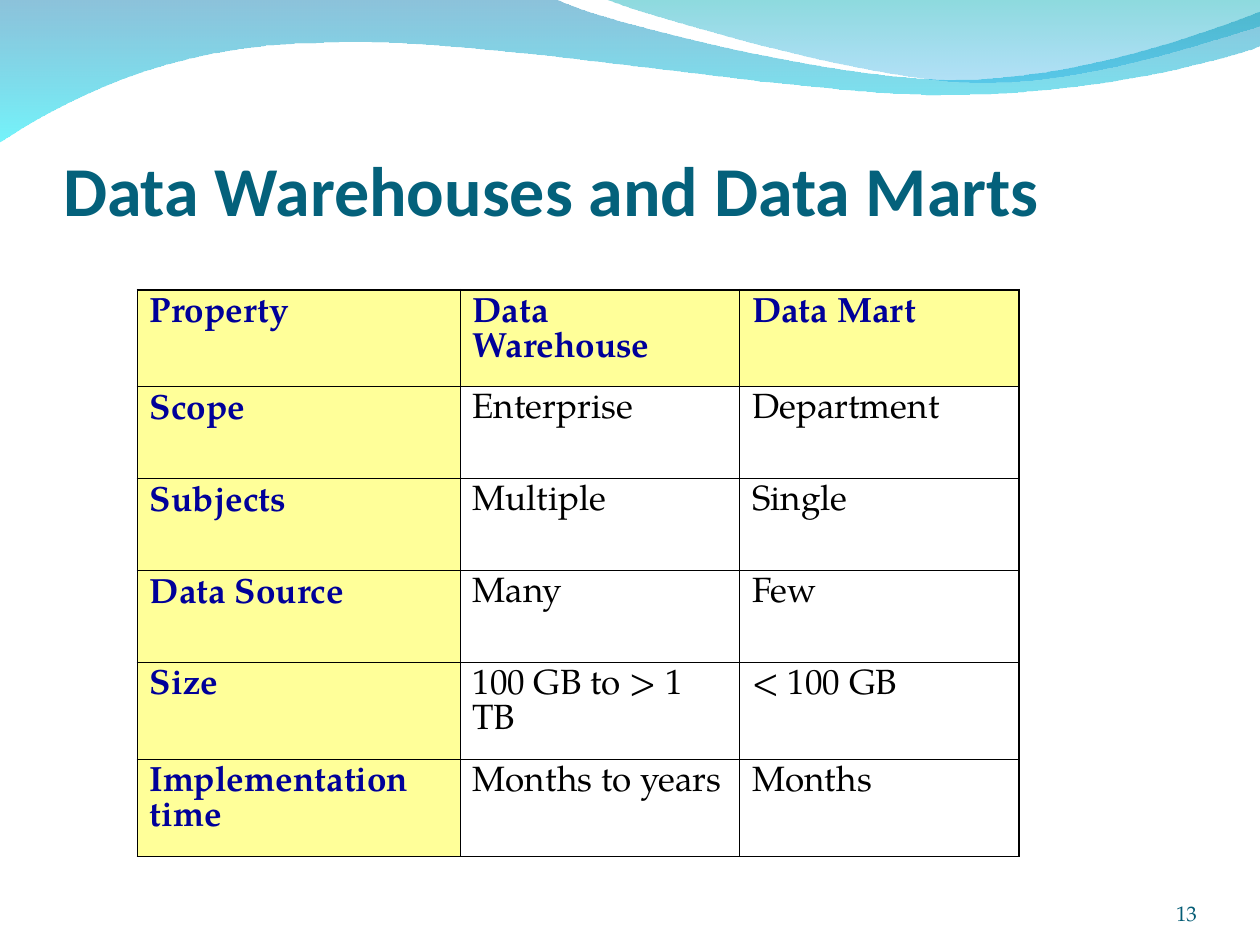
from pptx import Presentation
from pptx.dml.color import RGBColor
from pptx.enum.text import MSO_ANCHOR, PP_ALIGN
from pptx.oxml.ns import qn
from pptx.util import Inches, Pt
from lxml.etree import SubElement

TITLE_TEAL = RGBColor(0x04, 0x61, 0x7B)
NUMBER_TEAL = RGBColor(0x04, 0x5C, 0x75)
NAVY = RGBColor(0x00, 0x00, 0x99)
BLACK = RGBColor(0x00, 0x00, 0x00)
YELLOW = RGBColor(0xFF, 0xFF, 0x99)
DEEP_BLUE = RGBColor(0x00, 0x79, 0xAF)
CYAN = RGBColor(0x00, 0xEB, 0xF8)
SEA_GREEN = RGBColor(0x00, 0xAD, 0xB6)
SKY_BLUE = RGBColor(0x00, 0x9B, 0xE5)
SERIF = "TeX Gyre Pagella"


def write_text(frame, text, font=SERIF, size=20, color=BLACK, bold=False,
               align=None, anchor=None, margins=None, line_spacing=None):
    frame.word_wrap = True
    if anchor is not None:
        frame.vertical_anchor = anchor
    if margins is not None:
        (frame.margin_left, frame.margin_top,
         frame.margin_right, frame.margin_bottom) = map(Inches, margins)
    paragraph = frame.paragraphs[0]
    paragraph.alignment = align
    paragraph.space_before = Pt(0)
    paragraph.line_spacing = line_spacing
    run = paragraph.add_run()
    run.text = text
    run.font.name = font
    run.font.size = Pt(size)
    run.font.bold = bold
    run.font.color.rgb = color


presentation = Presentation()
presentation.slide_width = Inches(10)
presentation.slide_height = Inches(7.5)
slide = presentation.slides.add_slide(presentation.slide_layouts[5])

# Waves at the top, in hundredths of an inch:
# a segment of one point is a line, one of three points is a cubic curve
waves = [
    ((0, -1),
     [[(440, -1)],
      [(476, 17), (664, 63), (758, 63)],
      [(853, 63), (958, 26), (1000, 9)],
      [(1001, 36)],
      [(983, 44), (870, 76), (746, 75)],
      [(622, 75), (382, 28), (257, 34)],
      [(129, 35), (46, 83), (-1, 113)]],
     [(DEEP_BLUE, 45), (CYAN, 55)]),
    ((479, -1),
     [[(509, 11), (682, 62), (769, 65)],
      [(856, 69), (961, 32), (1000, 21)],
      [(1000, 0)]],
     [(SEA_GREEN, 45), (SKY_BLUE, 30)]),
]
for start, segments, stops in waves:
    builder = slide.shapes.build_freeform(*start, scale=Inches(0.01))
    builder.add_line_segments([point for segment in segments for point in segment], close=True)
    wave = builder.convert_to_shape()
    wave.shadow.inherit = False
    wave.line.fill.background()

    # Turn each run of three points into one curve
    lines = iter(list(wave._element.iter(qn("a:lnTo"))))
    for segment in segments:
        first, *others = [next(lines) for point in segment]
        if others:
            first.tag = qn("a:cubicBezTo")
        for other in others:
            first.append(other[0])
            other.getparent().remove(other)

    wave.fill.gradient()
    wave.fill.gradient_angle = 270
    for stop, (color, opacity) in zip(wave.fill.gradient_stops, stops):
        stop.color.rgb = color
    color_nodes = wave._element.spPr.find(qn("a:gradFill")).iter(qn("a:srgbClr"))
    for color_node, (color, opacity) in zip(color_nodes, stops):
        SubElement(color_node, qn("a:alpha")).set("val", str(opacity * 1000))

# Title, in front of the waves
title = slide.shapes.title
slide.shapes._spTree.append(title._element)
title.left, title.top, title.width, title.height = map(Inches, (0.5, 0.77, 9, 1.06))
write_text(title.text_frame, "Data Warehouses and Data Marts", font="Calibri", size=40,
           color=TITLE_TEAL, bold=True, align=PP_ALIGN.LEFT,
           anchor=MSO_ANCHOR.BOTTOM, margins=(0, 0.05, 0, 0))

# Comparison table
rows = [
    ("Property", "Data Warehouse", "Data Mart"),
    ("Scope", "Enterprise", "Department"),
    ("Subjects", "Multiple", "Single"),
    ("Data Source", "Many", "Few"),
    ("Size", "100 GB to > 1 TB", "< 100 GB"),
    ("Implementation time", "Months to years", "Months"),
]
column_widths = (2.56, 2.22, 2.22)
row_heights = (0.77, 0.73, 0.73, 0.73, 0.77, 0.77)
table = slide.shapes.add_table(len(rows), len(column_widths), Inches(1.09), Inches(2.3),
                               Inches(sum(column_widths)), Inches(sum(row_heights))).table
table.first_row = False
table.horz_banding = False
for column, width in zip(table.columns, column_widths):
    column.width = Inches(width)
for row, height in zip(table.rows, row_heights):
    row.height = Inches(height)

last_row, last_column = len(rows) - 1, len(column_widths) - 1
for row_index, texts in enumerate(rows):
    for column_index, text in enumerate(texts):
        cell = table.cell(row_index, column_index)
        is_header = row_index == 0 or column_index == 0
        write_text(cell.text_frame, text, color=NAVY if is_header else BLACK,
                   bold=is_header, line_spacing=Pt(20))
        # Thick outer borders, thin inner ones
        outer_sides = {"lnL": column_index == 0, "lnR": column_index == last_column,
                       "lnT": row_index == 0, "lnB": row_index == last_row}
        properties = cell._tc.get_or_add_tcPr()
        for side, is_outer in outer_sides.items():
            border = SubElement(properties, qn(f"a:{side}"))
            border.set("w", str(Pt(1.08 if is_outer else 0.45)))
            fill = SubElement(border, qn("a:solidFill"))
            SubElement(fill, qn("a:srgbClr")).set("val", str(BLACK))
        if is_header:
            cell.fill.solid()
            cell.fill.fore_color.rgb = YELLOW
        else:
            cell.fill.background()

# Slide number
number_box = slide.shapes.add_textbox(Inches(8.67), Inches(6.95), Inches(0.83), Inches(0.4))
write_text(number_box.text_frame, "13", size=12, color=NUMBER_TEAL, align=PP_ALIGN.RIGHT,
           anchor=MSO_ANCHOR.BOTTOM, margins=(0, 0, 0, 0))

presentation.save("out.pptx")
